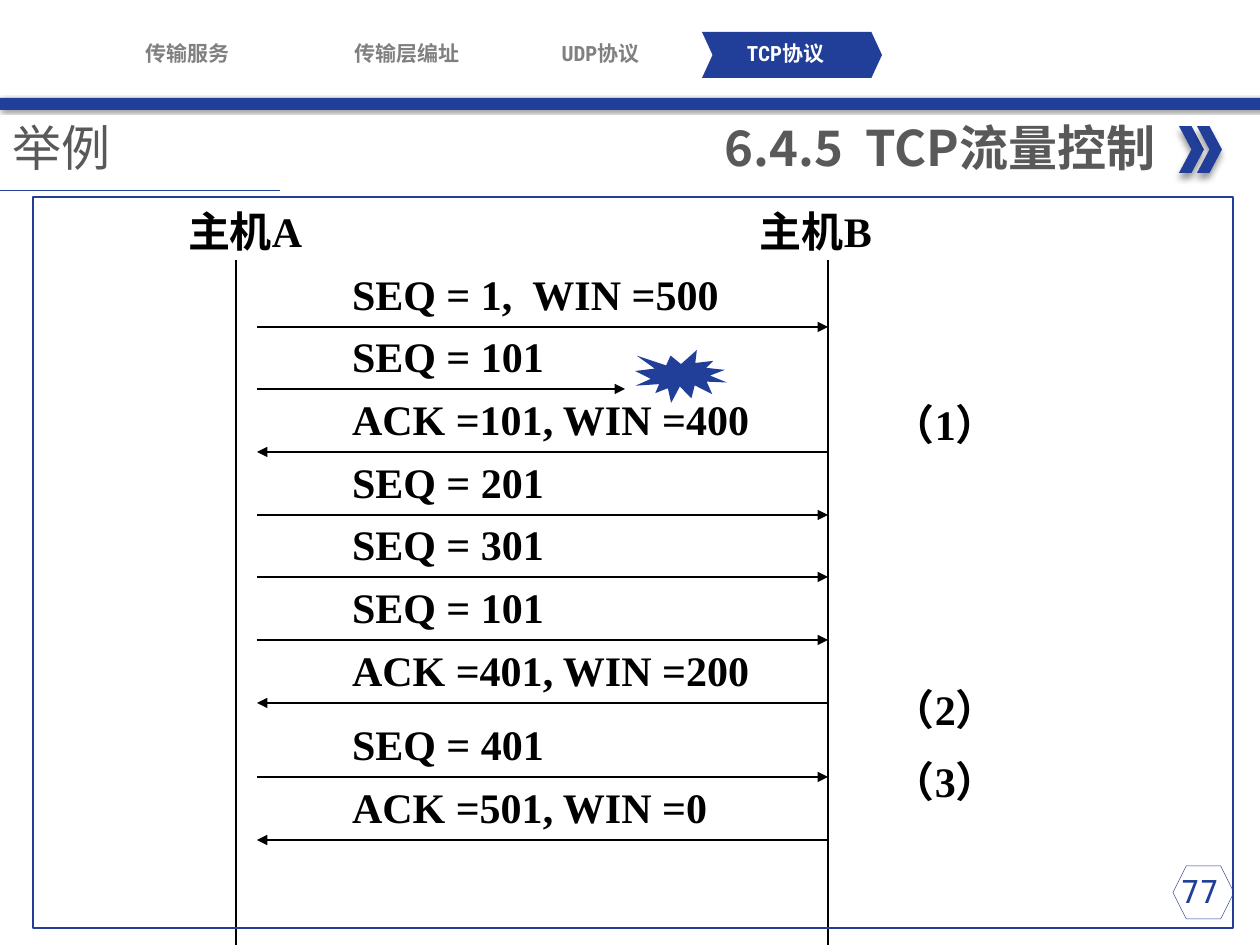
from lxml import etree
from pptx import Presentation
from pptx.dml.color import RGBColor
from pptx.enum.shapes import MSO_CONNECTOR, MSO_SHAPE
from pptx.enum.text import MSO_ANCHOR, PP_ALIGN
from pptx.oxml.ns import qn
from pptx.util import Pt

PX = 914400 // 126
STRAIGHT = MSO_CONNECTOR.STRAIGHT
RECTANGLE, CHEVRON = MSO_SHAPE.RECTANGLE, MSO_SHAPE.CHEVRON
HEXAGON, BURST = MSO_SHAPE.HEXAGON, MSO_SHAPE.EXPLOSION1
LEFT, CENTER, RIGHT = PP_ALIGN.LEFT, PP_ALIGN.CENTER, PP_ALIGN.RIGHT
JUSTIFY = PP_ALIGN.JUSTIFY
TOP, MIDDLE = MSO_ANCHOR.TOP, MSO_ANCHOR.MIDDLE
COLORS = {"blue": "213F99", "heading": "595959", "muted": "808080",
          "black": "000000", "white": "FFFFFF"}
SANS, NAV, SERIF, MONO = ("Noto Sans CJK SC", "Roboto Condensed",
                          "Times New Roman", "DejaVu Sans Mono")
TABS = [("传输服务", 96), ("传输层编址", 316), ("UDP协议", 509), ("TCP协议", 694)]
ACTIVE_TAB = "TCP协议"
MESSAGES = [
    ("SEQ = 1,  WIN =500", "sent"),
    ("SEQ = 101", "lost"),
    ("ACK =101, WIN =400", "reply"),
    ("SEQ = 201", "sent"),
    ("SEQ = 301", "sent"),
    ("SEQ = 101", "sent"),
    ("ACK =401, WIN =200", "reply"),
    ("SEQ = 401", "sent"),
    ("ACK =501, WIN =0", "reply"),
]
MARKS = [("（1）", 0), ("（2）", 135), ("（3）", 13)]


def color(name):
    return RGBColor.from_string(COLORS[name])


def scaled(*lengths):
    return [length * PX for length in lengths]


def add_shadow(shape, blur, distance, angle):
    effects = shape._element.spPr.find(qn("a:effectLst"))
    shadow = etree.SubElement(effects, qn("a:outerShdw"), blurRad=str(Pt(blur)),
                              dist=str(Pt(distance)), dir=str(angle * 60000))
    tint = etree.SubElement(shadow, qn("a:srgbClr"), val=COLORS["black"])
    etree.SubElement(tint, qn("a:alpha"), val="40000")


def add_block(page, kind, box, fill=None, line=None, width=1):
    shape = page.shapes.add_shape(kind, *scaled(*box))
    shape.shadow.inherit = False
    if fill:
        shape.fill.solid()
        shape.fill.fore_color.rgb = color(fill)
    else:
        shape.fill.background()
    if line:
        shape.line.color.rgb = color(line)
        shape.line.width = Pt(width)
    else:
        shape.line.fill.background()
    return shape


def add_line(page, start, end, tint="black", width=0.75, arrow=False):
    line = page.shapes.add_connector(STRAIGHT, *scaled(*start, *end))
    line.line.color.rgb = color(tint)
    line.line.width = Pt(width)
    if arrow:
        etree.SubElement(line.line._get_or_add_ln(), qn("a:tailEnd"), type="triangle")
    etree.SubElement(line._element.spPr, qn("a:effectLst"))


def style_paragraph(para, text, font, size, tint, bold, align):
    para.text = text
    para.alignment = align
    para.font.name = font
    para.font.size = Pt(size)
    para.font.bold = bold
    para.font.color.rgb = color(tint)


def add_frame(page, box, insets, anchor=TOP):
    frame = page.shapes.add_textbox(*scaled(*box)).text_frame
    frame.word_wrap = True
    frame.vertical_anchor = anchor
    (frame.margin_left, frame.margin_top,
     frame.margin_right, frame.margin_bottom) = scaled(*insets)
    return frame


def add_label(page, box, text, font, size, tint, bold=False, align=LEFT,
              anchor=TOP, insets=(13, 6, 13, 6)):
    frame = add_frame(page, box, insets, anchor)
    style_paragraph(frame.paragraphs[0], text, font, size, tint, bold, align)


def add_diagram_label(page, box, text):
    add_label(page, box, text, SERIF, 24, "black", True, JUSTIFY,
              insets=(13, 4, 13, 0))


def add_navigation(page, box):
    left, top, width, height = box
    active_left = left + dict(TABS)[ACTIVE_TAB]
    marker = add_block(page, CHEVRON, (active_left + 8, top, 180, height), "blue")
    marker.adjustments[0] = 0.23
    for text, offset in TABS:
        tint = "white" if text == ACTIVE_TAB else "muted"
        add_label(page, (left + offset, top + 9, 183, 25), text, NAV, 12, tint,
                  True, CENTER, MIDDLE, (0, 0, 0, 0))
    bar = add_block(page, RECTANGLE, (left, top + 66, width, 12), "blue")
    add_shadow(bar, 2, 1, 45)


def add_heading(page, box):
    left, top, width, height = box
    for offset in (1179, 1197):
        chevron = add_block(page, CHEVRON, (left + offset, top + 15, 25, 47), "blue")
        add_shadow(chevron, 4, 3, 90)
    add_label(page, (left + 96, top, 1072, 72), "6.4.5  TCP流量控制", SANS, 28,
              "heading", True, RIGHT)
    add_label(page, (left, top + 5, 326, 62), "举例", SANS, 28, "heading",
              anchor=MIDDLE)
    add_line(page, (left, top + height), (left + 280, top + height), "blue", 0.5)


def add_hosts(page, box):
    left, top, width, height = box
    for name, label_x, line_x in (("主机A", 142, 203), ("主机B", 714, 795)):
        add_line(page, (left + line_x, top + 63), (left + line_x, top + height))
        add_diagram_label(page, (left + label_x, top + 5, 245, 63), name)


def add_messages(page, box):
    left, top, width, height = box
    right = left + width
    for index, (text, kind) in enumerate(MESSAGES):
        y = top + 62 + index * 188 // 3 + (12 if index > 6 else 0)
        add_diagram_label(page, (left + 82, y - 62, 448, 63), text)
        start, end = (left, y), (right, y)
        if kind == "lost":
            end = (left + 368, y)
        elif kind == "reply":
            start, end = end, start
        add_line(page, start, end, arrow=True)
        if kind == "lost":
            lost_x, lost_y = end
    add_block(page, BURST, (lost_x, lost_y - 41, 122, 63), "white")
    add_block(page, BURST, (lost_x + 10, lost_y - 39, 92, 53), "blue")


def add_marks(page, box):
    frame = add_frame(page, box, (0, 152, 13, 6))
    for index, (text, gap) in enumerate(MARKS):
        para = frame.add_paragraph() if index else frame.paragraphs[0]
        style_paragraph(para, text, SERIF, 24, "black", True, JUSTIFY)
        para.line_spacing = Pt(28)
        para.space_before = Pt(gap)


def add_page_number(page, box):
    left, top, width, height = box
    add_block(page, HEXAGON, (left + 28, top, 61, 53), line="blue", width=0.25)
    add_label(page, box, "77", MONO, 18, "blue", align=CENTER)


def main():
    deck = Presentation()
    deck.slide_width, deck.slide_height = scaled(1260, 945)
    page = deck.slides.add_slide(deck.slide_layouts[6])
    add_navigation(page, (0, 32, 1260, 46))
    add_heading(page, (0, 111, 1260, 79))
    add_page_number(page, (1145, 866, 110, 50))
    add_hosts(page, (33, 197, 1200, 748))
    add_messages(page, (257, 265, 571, 575))
    add_marks(page, (893, 248, 164, 596))
    add_block(page, RECTANGLE, (33, 197, 1200, 731), line="blue")
    deck.save("out.pptx")


if __name__ == "__main__":
    main()
